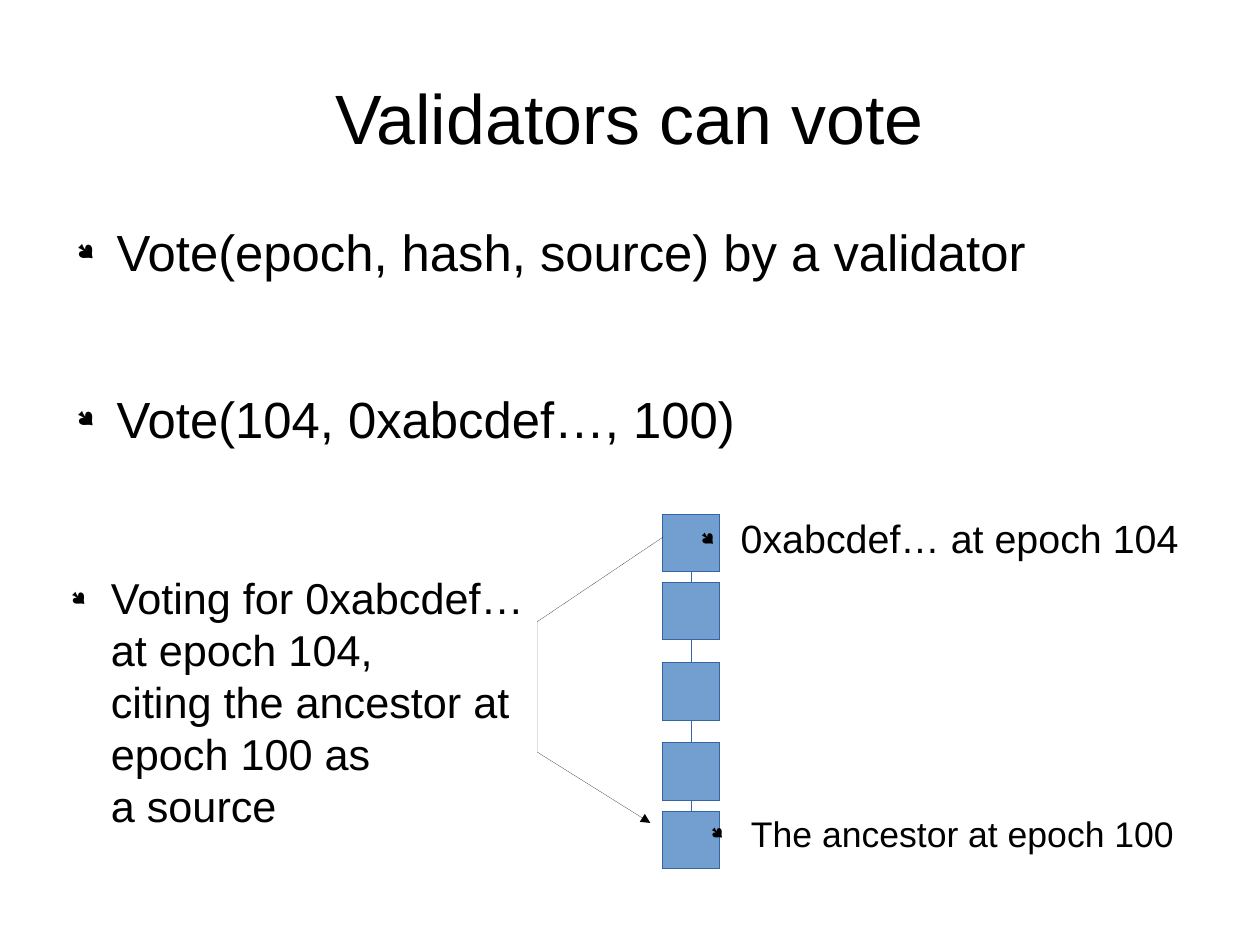
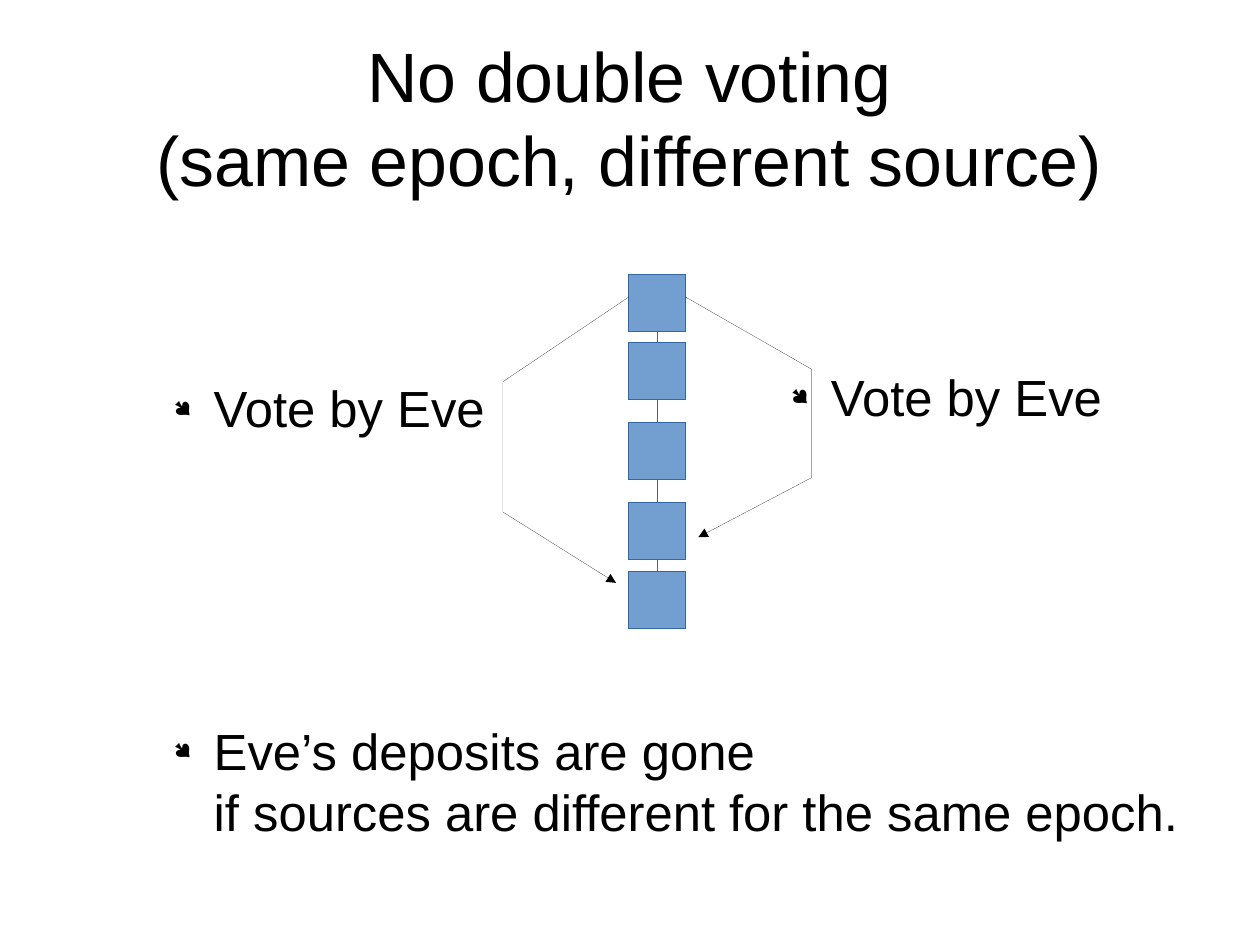
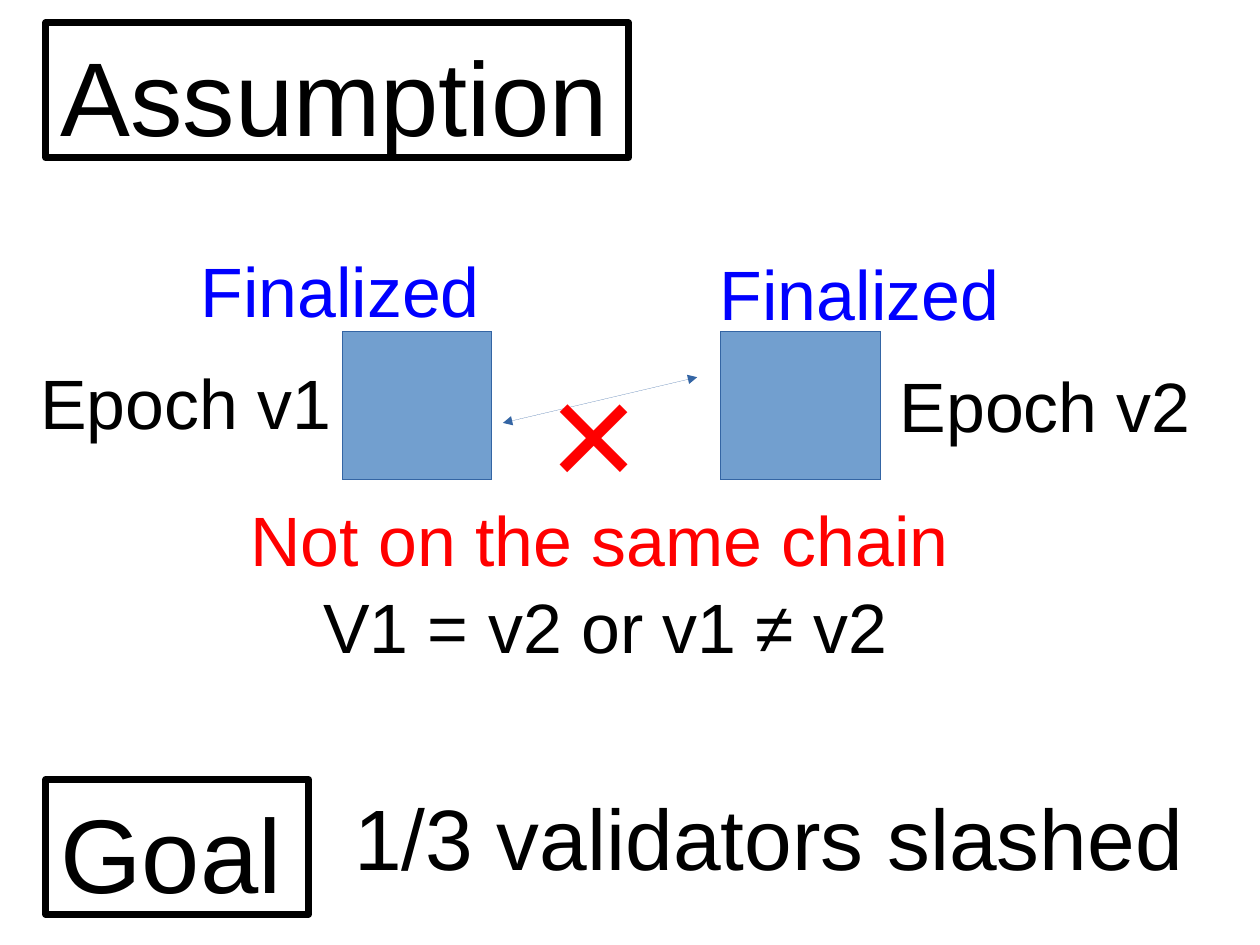
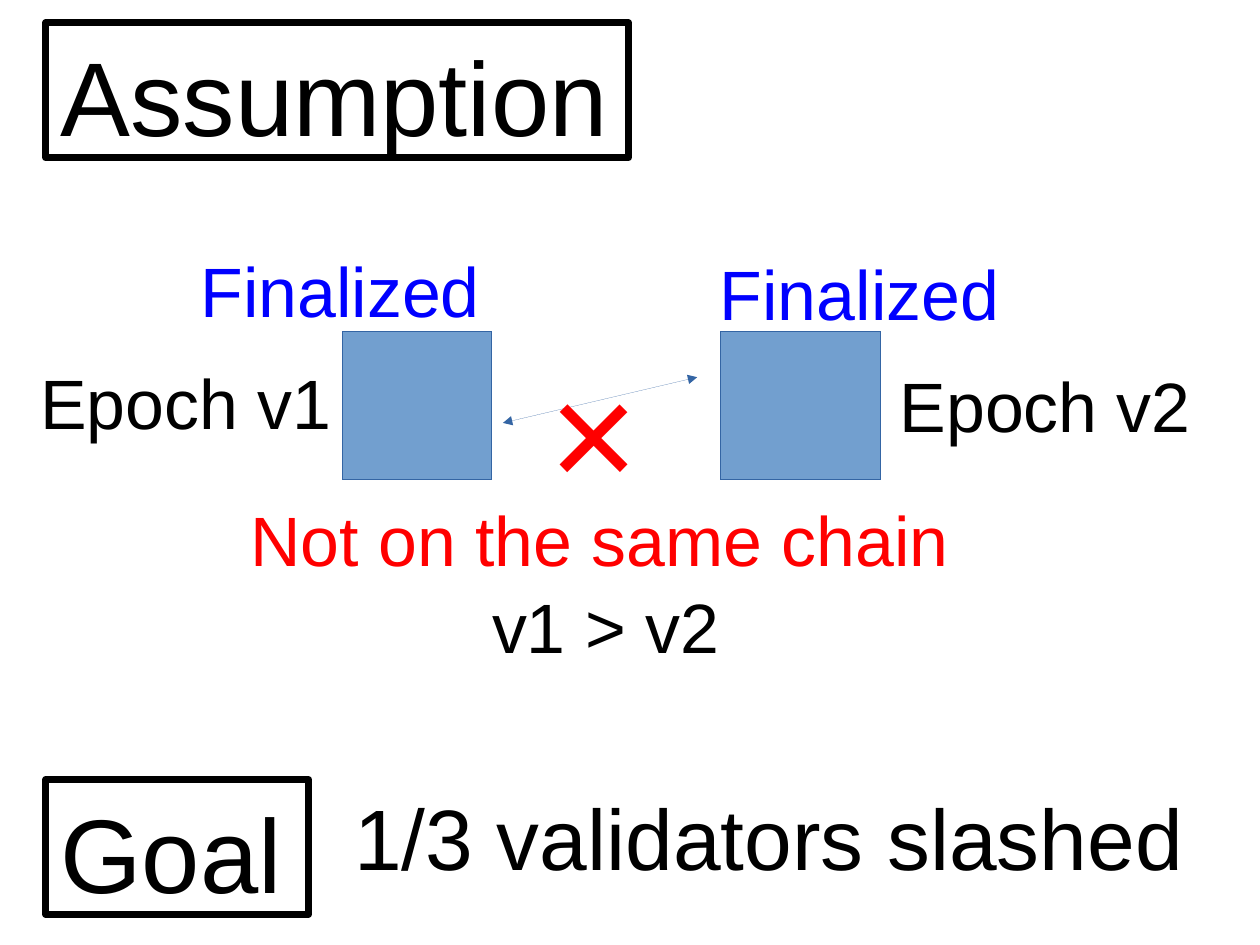
from pptx import Presentation
from pptx.dml.color import RGBColor
from pptx.enum.shapes import MSO_CONNECTOR, MSO_SHAPE
from pptx.enum.text import MSO_ANCHOR, PP_ALIGN
from pptx.oxml.ns import qn
from pptx.util import Cm, Pt
from lxml.etree import SubElement

# Shared values: 100 px to the inch
PX = 9144
FONT, BULLET_FONT = "Arial", "Wingdings"
BLACK, RED, BLUE = "000000", "FF0000", "0000FF"
BLOCK_FILL, BLOCK_LINE = "729FCF", "3465A4"
LEFT, CENTER, RIGHT = PP_ALIGN.LEFT, PP_ALIGN.CENTER, PP_ALIGN.RIGHT
TITLE_BOX = (55, 33, 992, 138)
BLOCK_SIZE = 50
BLOCK_OFFSETS = (0, 60, 130, 200, 260)
BULLET_INDENT, BULLET_HANG = 47, 35


def style_line(shape, color, width=0, ends=()):
    """Set the outline and its arrowheads, and switch the shadow off."""
    shape.line.color.rgb = RGBColor.from_string(color)
    outline = shape.line._get_or_add_ln()
    # A hairline needs its zero width written out
    outline.set("w", str(int(Pt(width))))
    SubElement(outline, qn("a:round"))
    for end in ends:
        SubElement(outline, qn(f"a:{end}")).set("type", "triangle")
    SubElement(shape._element.spPr, qn("a:effectLst"))


def write_text(shape, paragraphs, size, color=BLACK, align=LEFT, inset=(10, 5),
               anchor=MSO_ANCHOR.TOP, bullet=False, gap=0):
    """Fill a shape with paragraphs that share one format."""
    frame = shape.text_frame
    across, down = (value * PX for value in inset)
    frame_format = {"word_wrap": True, "vertical_anchor": anchor,
                    "margin_left": across, "margin_right": across,
                    "margin_top": down, "margin_bottom": down}
    for name, value in frame_format.items():
        setattr(frame, name, value)
    for index, text in enumerate(paragraphs):
        paragraph = frame.add_paragraph() if index else frame.paragraphs[0]
        paragraph.text = text
        paragraph.alignment = align
        if index:
            paragraph.space_before = Pt(gap)
        if bullet:
            properties = paragraph._p.get_or_add_pPr()
            properties.set("marL", str(BULLET_INDENT * PX))
            properties.set("indent", str(-BULLET_HANG * PX))
            bullet_color = SubElement(properties, qn("a:buClr"))
            SubElement(bullet_color, qn("a:srgbClr")).set("val", color)
            SubElement(properties, qn("a:buSzPct")).set("val", "45000")
            bullet_font = SubElement(properties, qn("a:buFont"))
            bullet_font.set("typeface", BULLET_FONT)
            bullet_font.set("charset", "2")
            SubElement(properties, qn("a:buChar")).set("char", "●")
        for run in paragraph.runs:
            for name, value in {"name": FONT, "size": Pt(size)}.items():
                setattr(run.font, name, value)
            run.font.color.rgb = RGBColor.from_string(color)


presentation = Presentation()
presentation.slide_width = Cm(28)
presentation.slide_height = Cm(21)
blank_layout = presentation.slide_layouts[6]

# Voting slides: title, chain of blocks, vote arrows, bullet texts
voting_slides = [
    {"title": "Validators can vote",
     "chain": (580, 450),
     "votes": [[(580, 470), (470, 544), (470, 658), (569, 720)]],
     "bullets": [
         ((55, 193, 992, 479), 32, ["Vote(epoch, hash, source) by a validator",
                                    "Vote(104, 0xabcdef…, 100)"]),
         ((601, 450, 459, 40), 24.8, ["0xabcdef… at epoch 104"]),
         ((610, 710, 459, 40), 22.4, ["The ancestor at epoch 100"]),
         ((50, 500, 420, 190), 27.2,
          ["Voting for 0xabcdef…\nat epoch 104,\n"
           "citing the ancestor at epoch 100 as\na source"])]},
    {"title": "No double voting\n(same epoch, different source)",
     "chain": (550, 240),
     "votes": [[(550, 260), (440, 334), (440, 448), (539, 510)],
               [(600, 260), (710, 323), (710, 418), (611, 470)]],
     "bullets": [
         ((140, 330, 300, 50), 32, ["Vote by Eve"]),
         ((680, 320, 300, 50), 32, ["Vote by Eve"]),
         ((140, 630, 980, 109), 32,
          ["Eve’s deposits are gone\n"
           "if sources are different for the same epoch."])]},
]
for content in voting_slides:
    slide = presentation.slides.add_slide(blank_layout)
    title = slide.shapes.add_textbox(*(value * PX for value in TITLE_BOX))
    write_text(title, [content["title"]], 44, align=CENTER, inset=(0, 0),
               anchor=MSO_ANCHOR.MIDDLE)

    # Blocks, each linked to the one above
    left, top = content["chain"]
    middle = left + BLOCK_SIZE // 2
    tops = [top + offset for offset in BLOCK_OFFSETS]
    for block_top in tops:
        block = slide.shapes.add_shape(
            MSO_SHAPE.RECTANGLE, left * PX, block_top * PX,
            BLOCK_SIZE * PX, BLOCK_SIZE * PX)
        block.fill.solid()
        block.fill.fore_color.rgb = RGBColor.from_string(BLOCK_FILL)
        style_line(block, BLOCK_LINE)
    for upper, lower in zip(tops, tops[1:]):
        link = slide.shapes.add_connector(
            MSO_CONNECTOR.STRAIGHT, middle * PX, lower * PX,
            middle * PX, (upper + BLOCK_SIZE) * PX)
        style_line(link, BLOCK_LINE)

    # Vote arrows
    for start, *points in content["votes"]:
        builder = slide.shapes.build_freeform(*start, scale=PX)
        builder.add_line_segments(points, close=False)
        vote = builder.convert_to_shape()
        vote.fill.background()
        style_line(vote, BLACK, ends=["tailEnd"])

    # Bullet texts
    for box, size, paragraphs in content["bullets"]:
        textbox = slide.shapes.add_textbox(*(value * PX for value in box))
        write_text(textbox, paragraphs, size, inset=(0, 0), bullet=True, gap=66.8)

# Assumption slides: only the relation of the epochs differs
final_blocks = [(300, 290, 130, 130), (630, 290, 140, 130)]
framed_words = [("Assumption", (40, 20, 510, 118)), ("Goal", (40, 682, 230, 118))]
labels = [
    ("×", (450, 290, 140, 180), 96, RED, CENTER),
    ("1/3 validators slashed", (300, 682, 750, 118), 54, BLACK, LEFT),
    ("Not on the same chain", (40, 430, 970, 100), 44, RED, CENTER),
    ("Finalized", (0, 212, 430, 88), 44, BLUE, RIGHT),
    ("Finalized", (620, 214, 480, 106), 44, BLUE, LEFT),
    ("Epoch v1", (20, 310, 280, 88), 44, BLACK, RIGHT),
    ("Epoch v2", (772, 312, 280, 88), 44, BLACK, RIGHT),
]
for relation in ("V1 = v2 or v1 ≠ v2", "v1 > v2"):
    slide = presentation.slides.add_slide(blank_layout)

    # Finalized blocks and the arrow between them
    for box in final_blocks:
        block = slide.shapes.add_shape(
            MSO_SHAPE.RECTANGLE, *(value * PX for value in box))
        block.fill.solid()
        block.fill.fore_color.rgb = RGBColor.from_string(BLOCK_FILL)
        style_line(block, BLOCK_LINE)
    arrow = slide.shapes.add_connector(
        MSO_CONNECTOR.STRAIGHT, 440 * PX, 370 * PX, 610 * PX, 330 * PX)
    style_line(arrow, BLOCK_LINE, ends=["headEnd", "tailEnd"])

    # Framed words
    for word, box in framed_words:
        frame_box = slide.shapes.add_shape(
            MSO_SHAPE.RECTANGLE, *(value * PX for value in box))
        frame_box.fill.background()
        style_line(frame_box, BLACK, width=4.31)
        write_text(frame_box, [word], 66, inset=(13, 8))

    # Labels
    relation_label = (relation, (230, 506, 600, 84), 44, BLACK, CENTER)
    for text, box, size, color, align in [*labels, relation_label]:
        textbox = slide.shapes.add_textbox(*(value * PX for value in box))
        write_text(textbox, [text], size, color, align)

presentation.save("out.pptx")
